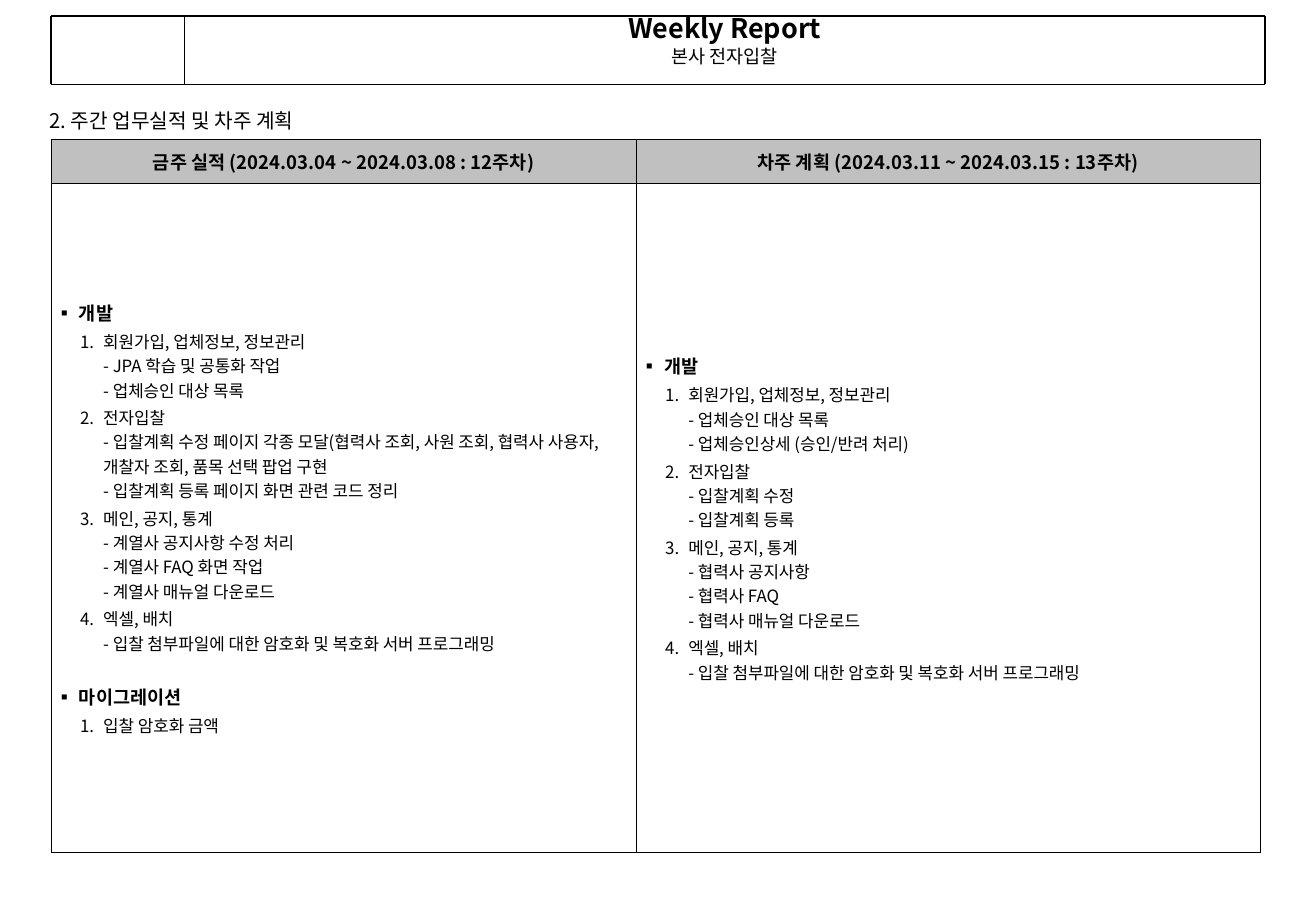
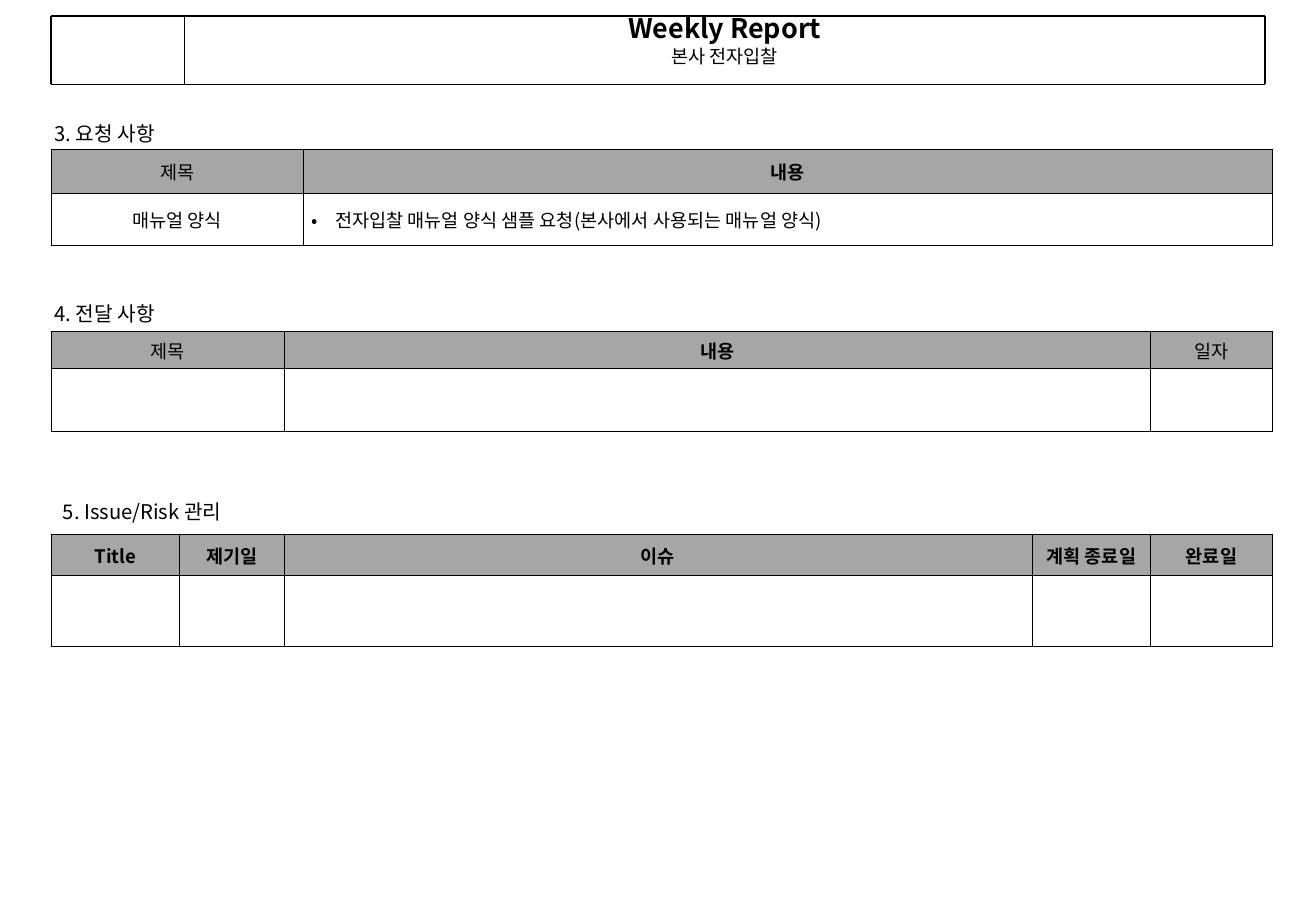
from lxml import etree
from pptx import Presentation
from pptx.dml.color import RGBColor
from pptx.enum.shapes import MSO_CONNECTOR
from pptx.enum.text import MSO_ANCHOR, MSO_AUTO_SIZE, PP_ALIGN
from pptx.oxml.ns import qn
from pptx.util import Inches, Pt

STRAIGHT = MSO_CONNECTOR.STRAIGHT
TOP, MIDDLE = MSO_ANCHOR.TOP, MSO_ANCHOR.MIDDLE
NO_FIT = MSO_AUTO_SIZE.NONE
CENTER, LEFT = PP_ALIGN.CENTER, PP_ALIGN.LEFT
FONT = "Noto Sans CJK KR"
BLACK, SILVER, GRAY = "000000", "C0C0C0", "A6A6A6"
EDGE, RIGHT, SPLIT = 0.42, 10.42, 1.52
HEAD_TOP, HEAD_END = 0.13, 0.69
BORDER = 0.45

DONE = [
    ("개발", [
        ["회원가입, 업체정보, 정보관리", "- JPA 학습 및 공통화 작업", "- 업체승인 대상 목록"],
        ["전자입찰",
         "- 입찰계획 수정 페이지 각종 모달(협력사 조회, 사원 조회, 협력사 사용자, "
         "개찰자 조회, 품목 선택 팝업 구현",
         "- 입찰계획 등록 페이지 화면 관련 코드 정리"],
        ["메인, 공지, 통계", "- 계열사 공지사항 수정 처리", "- 계열사 FAQ 화면 작업",
         "- 계열사 매뉴얼 다운로드"],
        ["엑셀, 배치", "- 입찰 첨부파일에 대한 암호화 및 복호화 서버 프로그래밍"],
    ]),
    ("마이그레이션", [["입찰 암호화 금액"]]),
]
PLAN = [
    ("개발", [
        ["회원가입, 업체정보, 정보관리", "- 업체승인 대상 목록", "- 업체승인상세 (승인/반려 처리)"],
        ["전자입찰", "- 입찰계획 수정", "- 입찰계획 등록"],
        ["메인, 공지, 통계", "- 협력사 공지사항", "- 협력사 FAQ", "- 협력사 매뉴얼 다운로드"],
        ["엑셀, 배치", "- 입찰 첨부파일에 대한 암호화 및 복호화 서버 프로그래밍"],
    ]),
]


def color(code):
    return RGBColor.from_string(code)


def add_run(para, text, size, bold=False):
    run = para.add_run()
    run.text = text
    font = run.font
    font.size, font.bold, font.name = Pt(size), bold, FONT
    font.color.rgb = color(BLACK)
    props = run._r.get_or_add_rPr()
    etree.SubElement(props, qn("a:ea"), typeface=FONT)


def set_frame(frame, anchor, side, top, end):
    frame.word_wrap = True
    frame.vertical_anchor = anchor
    frame.margin_left = frame.margin_right = Inches(side)
    frame.margin_top, frame.margin_bottom = Inches(top), Inches(end)


def set_bullet(para, left, kind, **attrs):
    props = para._p.get_or_add_pPr()
    props.set("marL", str(Inches(left)))
    props.set("indent", str(-Inches(0.19)))
    etree.SubElement(props, qn("a:buFont"), typeface=FONT)
    etree.SubElement(props, qn(kind), **attrs)


def add_rule(slide, x1, y1, x2, y2, width):
    rule = slide.shapes.add_connector(
        STRAIGHT, Inches(x1), Inches(y1), Inches(x2), Inches(y2))
    rule.line.color.rgb = color(BLACK)
    rule.line.width = Pt(width)
    etree.SubElement(rule._element.spPr, qn("a:effectLst"))


def add_page(deck):
    slide = deck.slides.add_slide(deck.slide_layouts[5])
    title = slide.shapes.title
    title.left, title.top = Inches(SPLIT), Inches(HEAD_TOP)
    title.width = Inches(RIGHT - SPLIT)
    title.height = Inches(HEAD_END - HEAD_TOP)
    frame = title.text_frame
    set_frame(frame, TOP, 0.1, 0.02, 0)
    frame.auto_size = NO_FIT
    first, second = frame.paragraphs[0], frame.add_paragraph()
    for para in (first, second):
        para.alignment = CENTER
        para.line_spacing = 0.8
    first.space_before, second.space_before = Pt(0), Pt(2.8)
    add_run(first, "Weekly Report", 16, True)
    add_run(second, "본사 전자입찰", 11)
    for x, width in ((SPLIT, 0.25), (EDGE, 1.5), (RIGHT, 1.5)):
        add_rule(slide, x, HEAD_TOP, x, HEAD_END, width)
    for y, width in ((HEAD_TOP, 1.5), (HEAD_END, 0.25)):
        add_rule(slide, EDGE, y, RIGHT, y, width)
    return slide


def add_label(slide, left, top, text):
    box = slide.shapes.add_textbox(
        Inches(left), Inches(top), Inches(3.07), Inches(0.3))
    set_frame(box.text_frame, MIDDLE, 0.1, 0.05, 0.05)
    add_run(box.text_frame.paragraphs[0], text, 12)


def set_border(cell):
    props = cell._tc.get_or_add_tcPr()
    for side in ("a:lnL", "a:lnR", "a:lnT", "a:lnB"):
        line = etree.SubElement(props, qn(side), w=str(Pt(BORDER)))
        fill = etree.SubElement(line, qn("a:solidFill"))
        etree.SubElement(fill, qn("a:srgbClr"), val=BLACK)


def add_grid(slide, top, widths, heights, heads, shade, side):
    shape = slide.shapes.add_table(
        len(heights), len(widths), Inches(EDGE), Inches(top),
        Inches(sum(widths)), Inches(sum(heights)))
    table = shape.table
    table.first_row = table.horz_banding = False
    for col, width in zip(table.columns, widths):
        col.width = Inches(width)
    for row, height in zip(table.rows, heights):
        row.height = Inches(height)
    for cell in table.iter_cells():
        set_border(cell)
        cell.fill.background()
        cell.vertical_anchor = MIDDLE
        cell.margin_left = cell.margin_right = Inches(side)
        cell.margin_top = cell.margin_bottom = Inches(0.04)
    for index, (text, bold) in enumerate(heads):
        cell = table.cell(0, index)
        cell.fill.solid()
        cell.fill.fore_color.rgb = color(shade)
        fill_cell(cell, text, bold)
    return table


def fill_cell(cell, text, bold=False, align=CENTER):
    para = cell.text_frame.paragraphs[0]
    para.alignment = align
    add_run(para, text, 11, bold)
    return para


def add_tasks(cell, groups):
    frame = cell.text_frame
    for index, (name, items) in enumerate(groups):
        para = frame.add_paragraph() if index else frame.paragraphs[0]
        set_bullet(para, 0.19, "a:buChar", char="▪")
        para.space_before = Pt(15.5 if index else 0)
        para.space_after = Pt(1)
        add_run(para, name, 11, True)
        for lines in items:
            para = frame.add_paragraph()
            para.level = 1
            set_bullet(para, 0.39, "a:buAutoNum", type="arabicPeriod")
            para.space_before = para.space_after = Pt(1)
            for number, line in enumerate(lines):
                if number:
                    para.add_line_break()
                add_run(para, line, 10)


def add_weeks(deck):
    slide = add_page(deck)
    add_label(slide, 0.31, 0.84, "2. 주간 업무실적 및 차주 계획")
    heads = [("금주 실적 (2024.03.04 ~ 2024.03.08 : 12주차)", True),
             ("차주 계획 (2024.03.11 ~ 2024.03.15 : 13주차)", True)]
    table = add_grid(slide, 1.15, [4.82, 5.14], [0.36, 5.51], heads, SILVER, 0.04)
    for index, groups in enumerate((DONE, PLAN)):
        add_tasks(table.cell(1, index), groups)


def add_issues(deck):
    slide = add_page(deck)
    add_label(slide, 0.35, 0.95, "3. 요청 사항")
    asks = add_grid(slide, 1.23, [2.08, 7.98], [0.36, 0.43],
                    [("제목", False), ("내용", True)], GRAY, 0.07)
    fill_cell(asks.cell(1, 0), "매뉴얼 양식")
    para = fill_cell(asks.cell(1, 1),
                     "전자입찰 매뉴얼 양식 샘플 요청(본사에서 사용되는 매뉴얼 양식)",
                     align=LEFT)
    set_bullet(para, 0.19, "a:buChar", char="•")
    add_label(slide, 0.35, 2.43, "4. 전달 사항")
    add_grid(slide, 2.73, [1.92, 7.14, 1], [0.3, 0.52],
             [("제목", False), ("내용", True), ("일자", False)], GRAY, 0.07)
    add_label(slide, 0.42, 4.06, "5. Issue/Risk 관리")
    names = ["Title", "제기일", "이슈", "계획 종료일", "완료일"]
    add_grid(slide, 4.4, [1.06, 0.86, 6.16, 0.98, 1], [0.34, 0.58],
             [(name, True) for name in names], GRAY, 0.07)


def main():
    deck = Presentation()
    deck.slide_width, deck.slide_height = Inches(10.84), Inches(7.5)
    add_weeks(deck)
    add_issues(deck)
    deck.save("out.pptx")


if __name__ == "__main__":
    main()
